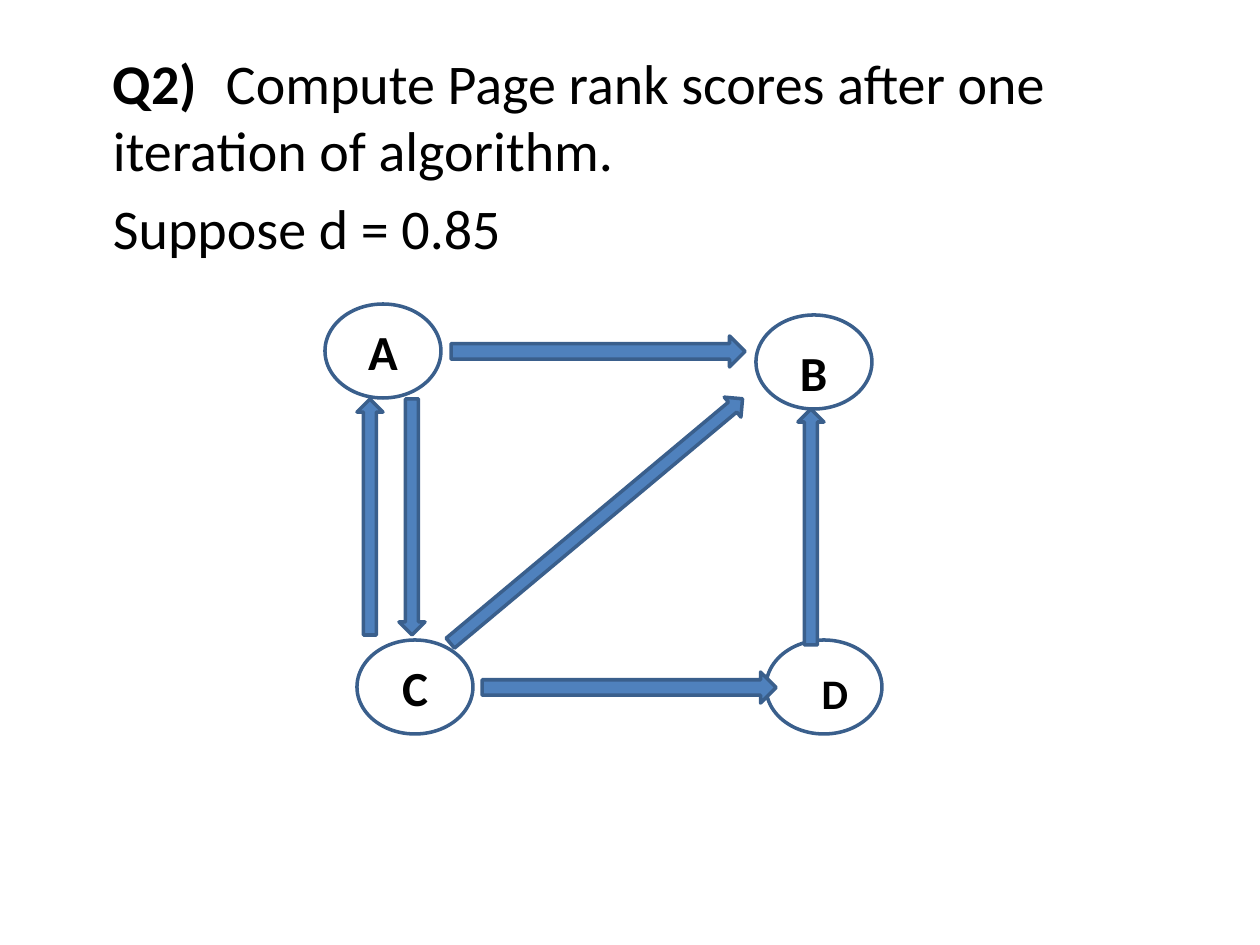
from typing import NamedTuple

from lxml.etree import SubElement
from pptx import Presentation
from pptx.dml.color import RGBColor
from pptx.enum.shapes import MSO_SHAPE as Preset
from pptx.enum.text import MSO_ANCHOR as Anchor, PP_ALIGN as Align
from pptx.oxml.ns import qn
from pptx.util import Pt

EMU_PER_PX = 914400 / 126
COLORS = {"text": "000000", "arrow": "4F81BD", "outline": "3A5F8C"}
NODE_WIDTH, NODE_HEIGHT = 116, 94
TITLE_TAB = 113


class Node(NamedTuple):
    left: int
    top: int
    label: str = ""


class Arrow(NamedTuple):
    left: int
    top: int
    length: int
    thickness: int
    rotation: float = 0


class Label(NamedTuple):
    left: int
    top: int
    width: int
    height: int
    text: str
    size: int


NODES = [Node(325, 304, "A"), Node(756, 315), Node(357, 640, "C"), Node(766, 640)]
ARROWS = [
    Arrow(451, 336, 294, 31),
    Arrow(482, 672, 294, 31),
    Arrow(294, 504, 236, 26, 90),
    Arrow(252, 504, 236, 26, 270),
    Arrow(693, 514, 236, 26, 270),
    Arrow(406, 508, 381, 26, 320.1),
]
LABELS = [Label(787, 336, 53, 72, "B", 28), Label(809, 661, 52, 63, "D", 24)]


def px(value: int) -> int:
    return round(value * EMU_PER_PX)


def color(name: str) -> RGBColor:
    return RGBColor.from_string(COLORS[name])


def write(paragraph, text: str, *, size: int = 32, bold: bool = False, align=Align.LEFT) -> None:
    paragraph.alignment = align
    run = paragraph.add_run()
    run.text = text
    run.font.name = "Calibri"
    run.font.size = Pt(size)
    run.font.bold = bold
    run.font.color.rgb = color("text")


def add_outlined(slide, preset, left: int, top: int, width: int, height: int):
    shape = slide.shapes.add_shape(preset, px(left), px(top), px(width), px(height))
    shape.shadow.inherit = False
    shape.line.color.rgb = color("outline")
    shape.line.width = Pt(2)
    return shape


def add_question(slide) -> None:
    box = slide.shapes.add_textbox(px(52), px(42), px(1134), px(624))
    frame = box.text_frame
    frame.word_wrap = True
    frame.margin_left = px(61)
    question = frame.paragraphs[0]
    tabs = SubElement(question._p.get_or_add_pPr(), qn("a:tabLst"))
    SubElement(tabs, qn("a:tab"), pos=str(px(TITLE_TAB)), algn="l")
    write(question, "Q2)\t", bold=True)
    write(question, "Compute Page rank scores after one iteration of algorithm.")
    assumption = frame.add_paragraph()
    assumption.space_before = Pt(6.4)
    write(assumption, "Suppose d = 0.85")


def add_node(slide, node: Node) -> None:
    shape = add_outlined(slide, Preset.OVAL, node.left, node.top, NODE_WIDTH, NODE_HEIGHT)
    shape.fill.background()
    if node.label:
        frame = shape.text_frame
        frame.vertical_anchor = Anchor.MIDDLE
        write(frame.paragraphs[0], node.label, size=28, bold=True, align=Align.CENTER)


def add_arrow(slide, arrow: Arrow) -> None:
    shape = add_outlined(
        slide, Preset.RIGHT_ARROW, arrow.left, arrow.top, arrow.length, arrow.thickness
    )
    shape.fill.solid()
    shape.fill.fore_color.rgb = color("arrow")
    shape.rotation = arrow.rotation


def add_label(slide, label: Label) -> None:
    box = slide.shapes.add_textbox(
        px(label.left), px(label.top), px(label.width), px(label.height)
    )
    box.text_frame.word_wrap = False
    paragraph = box.text_frame.paragraphs[0]
    write(paragraph, label.text, size=label.size, bold=True, align=Align.CENTER)


def main() -> None:
    presentation = Presentation()
    presentation.slide_width = px(1260)
    presentation.slide_height = px(945)
    slide = presentation.slides.add_slide(presentation.slide_layouts[6])
    add_question(slide)
    for node in NODES:
        add_node(slide, node)
    for arrow in ARROWS:
        add_arrow(slide, arrow)
    for label in LABELS:
        add_label(slide, label)
    presentation.save("out.pptx")


if __name__ == "__main__":
    main()
